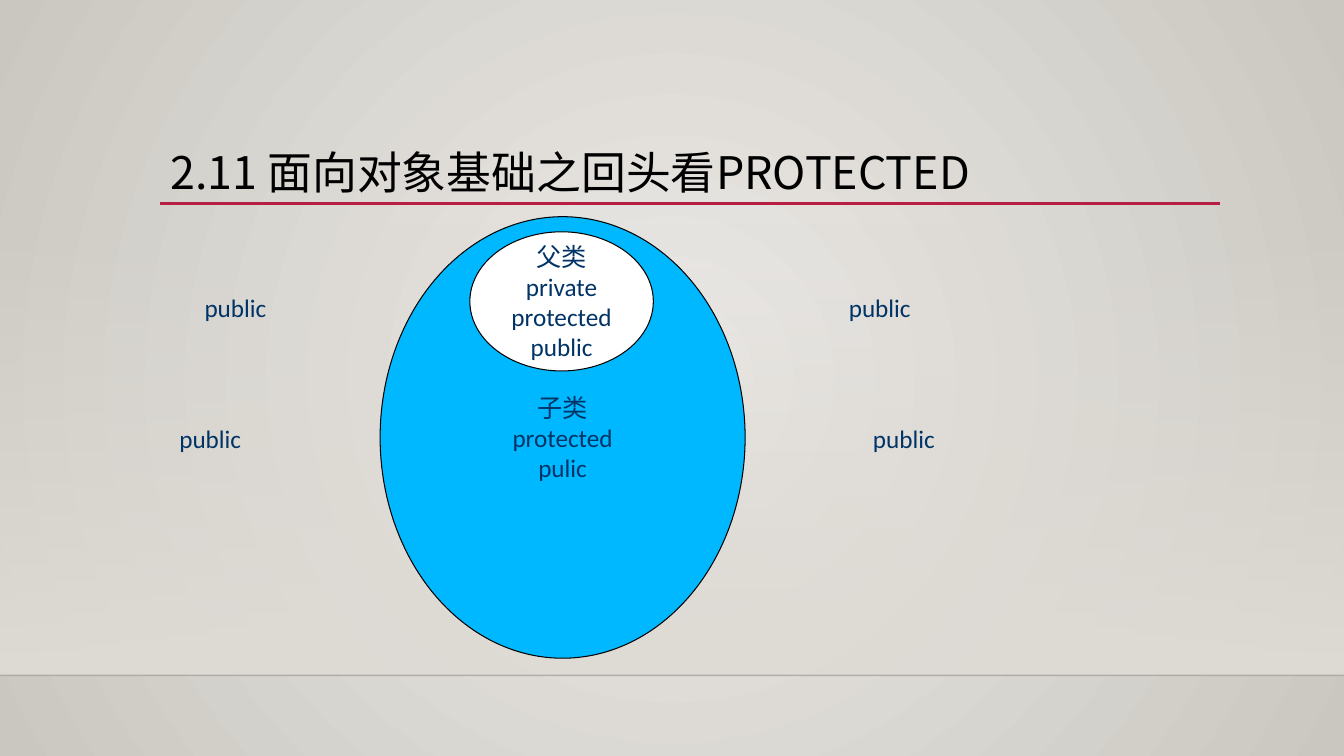
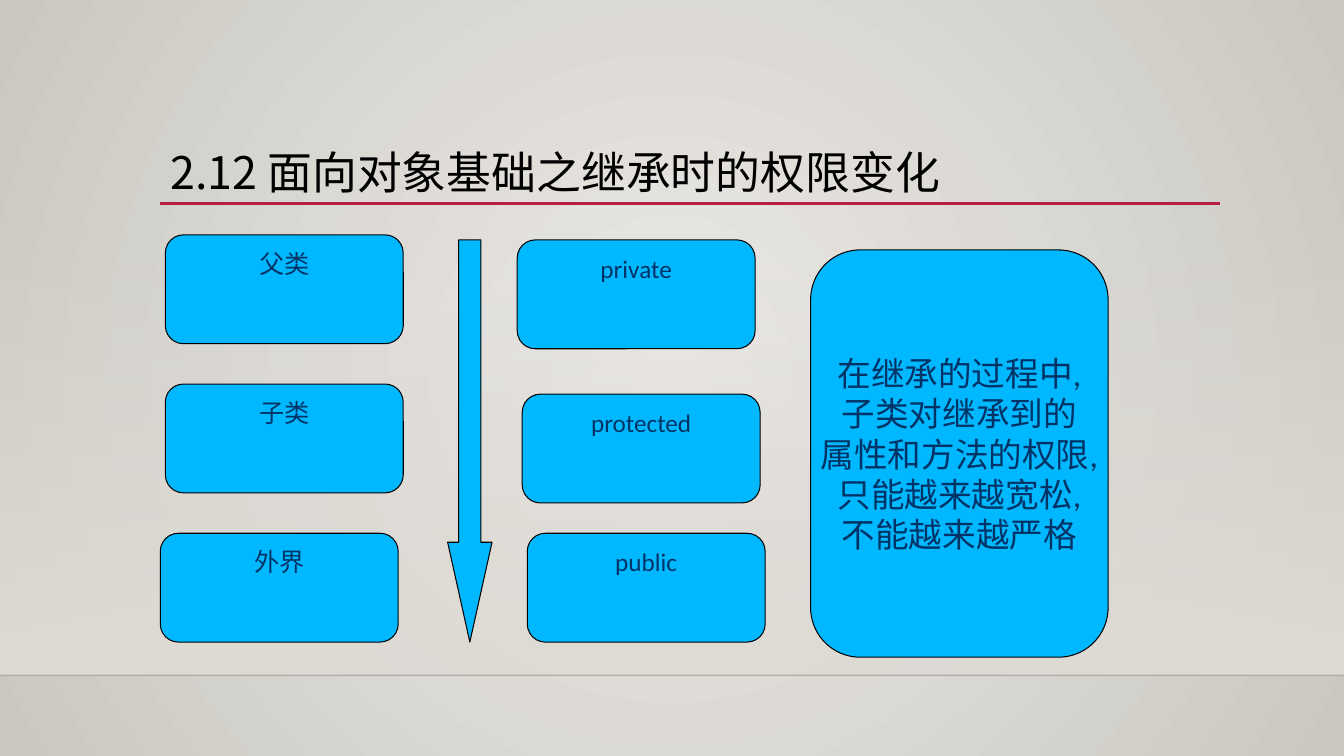
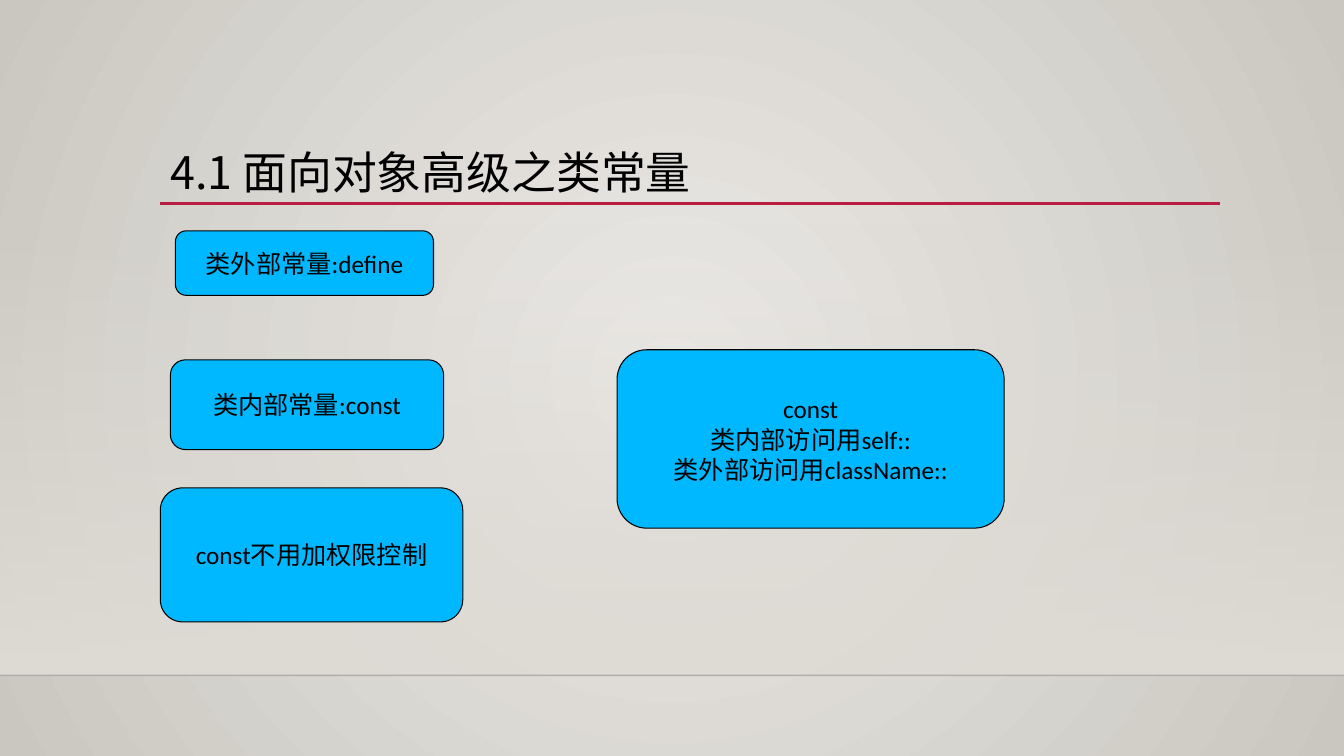
from dataclasses import dataclass

from lxml import etree
from pptx import Presentation
from pptx.dml.color import RGBColor
from pptx.enum.shapes import MSO_CONNECTOR, MSO_SHAPE
from pptx.enum.text import MSO_ANCHOR, PP_ALIGN
from pptx.oxml.ns import qn
from pptx.util import Inches, Pt

STRAIGHT = MSO_CONNECTOR.STRAIGHT
RECTANGLE = MSO_SHAPE.RECTANGLE
ELLIPSE = MSO_SHAPE.OVAL
ROUNDED = MSO_SHAPE.ROUNDED_RECTANGLE
PROCESS = MSO_SHAPE.FLOWCHART_ALTERNATE_PROCESS
DOWN_ARROW = MSO_SHAPE.DOWN_ARROW
TOP, MIDDLE = MSO_ANCHOR.TOP, MSO_ANCHOR.MIDDLE
LEFT, CENTER = PP_ALIGN.LEFT, PP_ALIGN.CENTER


@dataclass(frozen=True)
class Theme:
    glow: str = "ECEAE7"
    edge: str = "CAC7C1"
    band: str = "DFDBD5"
    floor: str = "000001"
    accent: str = "B71E42"
    box: str = "00B8FF"
    white: str = "FFFFFF"
    black: str = "000000"
    navy: str = "003366"
    title_font: str = "Noto Sans CJK SC"
    body_font: str = "Calibri"
    title_size: int = 32
    note_size: int = 24
    body_size: int = 18


THEME = Theme()
WIDTH, HEIGHT = 13.33, 7.5
BAND_TOP, FLOOR = 2.21, 6.7

TITLES = {
    "protected": "2.11 面向对象基础之回头看PROTECTED",
    "inheritance": "2.12 面向对象基础之继承时的权限变化",
    "constants": "4.1 面向对象高级之类常量",
}

CLASS_ELLIPSES = [
    ((3.77, 2.15, 3.62, 4.38), THEME.box, ["子类", "protected", "pulic"]),
    ((4.66, 2.3, 1.82, 1.38), THEME.white, ["父类", "private", "protected", "public"]),
]
PUBLIC_LABELS = [(8.32, 2.85), (8.56, 4.15), (1.93, 2.85), (1.68, 4.15)]

LEVEL_SIZE = (2.36, 1.08)
LEVELS = [
    ("父类", 1.64, 2.33), ("子类", 1.64, 3.81), ("外界", 1.59, 5.29),
    ("private", 5.13, 2.38), ("protected", 5.18, 3.91), ("public", 5.23, 5.29),
]
LOOSENING_ARROW = (4.44, 2.38, 0.44, 3.99)
RULE_BOX = (8.04, 2.48, 2.95, 4.04)
RULE_LINES = ["在继承的过程中,", "子类对继承到的", "属性和方法的权限,", "只能越来越宽松,", "不能越来越严格"]

CONSTANT_BOXES = [
    ((1.74, 2.29, 2.56, 0.64), ["类外部常量:define"]),
    ((1.69, 3.57, 2.71, 0.89), ["类内部常量:const"]),
    ((1.59, 4.84, 3, 1.33), ["const不用加权限控制"]),
    ((6.12, 3.47, 3.84, 1.77), ["const", "类内部访问用self::", "类外部访问用className::"]),
]


def set_alpha(colour, percent):
    etree.SubElement(colour, qn("a:alpha")).set("val", str(percent * 1000))


def set_gradient(fill, *colours):
    fill.gradient()
    for stop, colour, position in zip(fill.gradient_stops, colours, (0, 1)):
        stop.color.rgb = RGBColor.from_string(colour)
        stop.position = position


def write(shape, lines, *, size=THEME.body_size, colour=THEME.navy, font=THEME.body_font,
          align=CENTER, anchor=MIDDLE, wrap=False, spacing=None, east_asian=None):
    frame = shape.text_frame
    frame.word_wrap = wrap
    frame.vertical_anchor = anchor
    for index, line in enumerate(lines):
        paragraph = frame.add_paragraph() if index else frame.paragraphs[0]
        paragraph.alignment = align
        paragraph.line_spacing = spacing
        run = paragraph.add_run()
        run.text = line
        run.font.size = Pt(size)
        run.font.color.rgb = RGBColor.from_string(colour)
        run.font.name = font
        if east_asian:
            properties = run.font._element
            etree.SubElement(properties, qn("a:ea")).set("typeface", east_asian)


def add_box(slide, kind, place, fill=THEME.box):
    shape = slide.shapes.add_shape(kind, *map(Inches, place))
    shape.shadow.inherit = False
    shape.fill.solid()
    shape.fill.fore_color.rgb = RGBColor.from_string(fill)
    shape.line.color.rgb = RGBColor.from_string(THEME.black)
    shape.line.width = Pt(0.75)
    return shape


def add_label(slide, place, lines, **text_format):
    write(slide.shapes.add_textbox(*map(Inches, place)), lines, align=LEFT, wrap=True, **text_format)


def add_rule(slide, left, right, top, colour, width):
    rule = slide.shapes.add_connector(STRAIGHT, *map(Inches, (left, top, right, top)))
    rule.line.color.rgb = RGBColor.from_string(colour)
    rule.line.width = Pt(width)
    etree.SubElement(rule._element.spPr, qn("a:effectLst"))
    return rule


def set_background(master):
    set_gradient(master.background.fill, THEME.glow, THEME.edge)
    gradient = master.element.find(".//" + qn("a:gradFill"))
    gradient.remove(gradient.find(qn("a:lin")))
    circle = etree.SubElement(gradient, qn("a:path"))
    circle.set("path", "circle")
    centre = etree.SubElement(circle, qn("a:fillToRect"))
    for side in "ltrb":
        centre.set(side, "50000")


def add_slide(presentation, title):
    slide = presentation.slides.add_slide(presentation.slide_layouts[6])
    band = add_box(slide, RECTANGLE, (0, BAND_TOP, WIDTH, FLOOR - BAND_TOP))
    band.line.fill.background()
    set_gradient(band.fill, THEME.band, THEME.band)
    band.fill.gradient_angle = 270
    set_alpha(band._element.find(".//" + qn("a:srgbClr")), 0)
    floor = add_rule(slide, 0, WIDTH, FLOOR, THEME.floor, 1)
    set_alpha(floor._element.find(".//" + qn("a:srgbClr")), 20)
    add_rule(slide, 1.59, 12.1, 2.02, THEME.accent, 2.5)
    add_label(slide, (1.59, 1.44, 10.5, 0.59), [title], size=THEME.title_size, colour=THEME.black,
              font=THEME.title_font, east_asian=THEME.title_font, spacing=0.9)
    return slide


def build_protected(presentation):
    slide = add_slide(presentation, TITLES["protected"])
    for place, fill, lines in CLASS_ELLIPSES:
        write(add_box(slide, ELLIPSE, place, fill), lines)
    for left, top in PUBLIC_LABELS:
        add_label(slide, (left, top, 1.52, 0.39), ["public"], anchor=TOP)


def build_inheritance(presentation):
    slide = add_slide(presentation, TITLES["inheritance"])
    for name, left, top in LEVELS:
        level = add_box(slide, ROUNDED, (left, top, *LEVEL_SIZE))
        level.text_frame.margin_top = Inches(0.08)
        write(level, [name], anchor=TOP)
    arrow = add_box(slide, DOWN_ARROW, LOOSENING_ARROW)
    arrow.adjustments[1] = 2.25
    write(add_box(slide, ROUNDED, RULE_BOX), RULE_LINES, size=THEME.note_size)


def build_constants(presentation):
    slide = add_slide(presentation, TITLES["constants"])
    for place, lines in CONSTANT_BOXES:
        write(add_box(slide, PROCESS, place), lines, colour=THEME.black)


def main():
    presentation = Presentation()
    presentation.slide_width = Inches(WIDTH)
    presentation.slide_height = Inches(HEIGHT)
    set_background(presentation.slide_master)
    build_protected(presentation)
    build_inheritance(presentation)
    build_constants(presentation)
    presentation.save("out.pptx")


if __name__ == "__main__":
    main()
